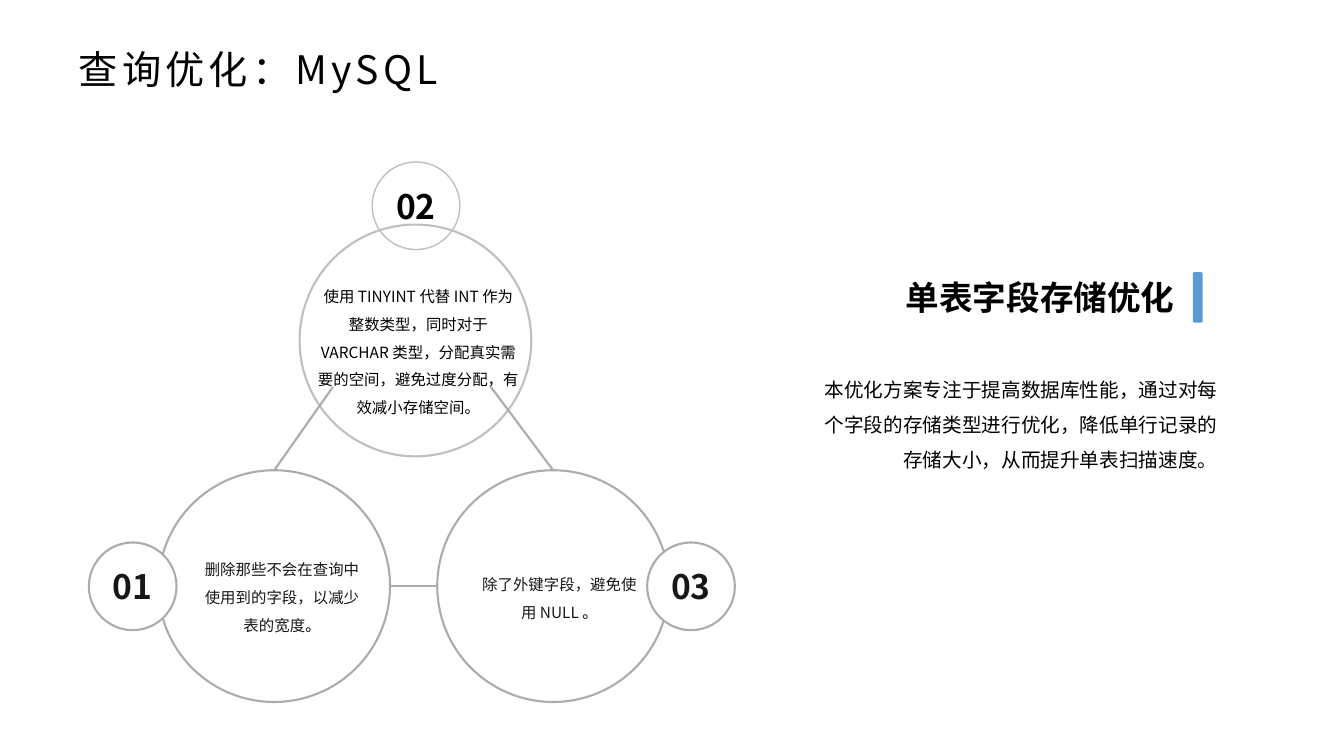
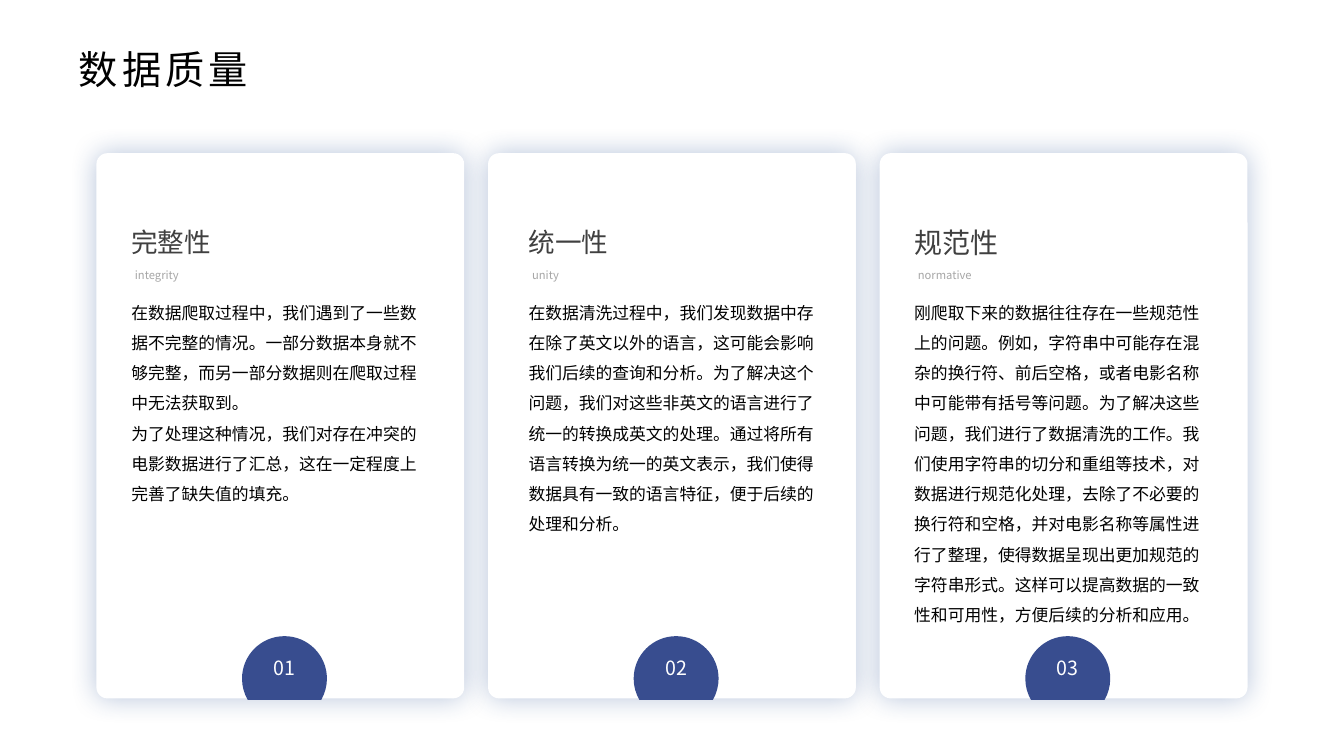
import math

import lxml.etree
import pptx
import pptx.dml.color
import pptx.enum.shapes
import pptx.enum.text
import pptx.oxml.ns
import pptx.util
from pptx.util import Cm

FONT = "Noto Sans CJK SC"
COLORS = {
    "black": "000000", "ink": "181717", "heading": "404040", "caption": "A6A6A6",
    "white": "FFFFFF", "line": "AFABAB", "light_line": "BFBFBF",
    "accent": "5B9BD5", "badge": "384D8F", "glow": "2F5597",
}
SHAPES = pptx.enum.shapes.MSO_SHAPE
LEFT, CENTER, RIGHT = (getattr(pptx.enum.text.PP_ALIGN, name) for name in ("LEFT", "CENTER", "RIGHT"))
TOP, MIDDLE = pptx.enum.text.MSO_ANCHOR.TOP, pptx.enum.text.MSO_ANCHOR.MIDDLE

# Text styles: size in points, leading as a multiple of the size
SINGLE, LOOSE = 1.2, 1.8
STYLES = {
    "title": {"size": 28, "color": "black", "leading": SINGLE, "tracking": 3},
    "topic": {"size": 24, "color": "black", "leading": SINGLE, "bold": True, "align": RIGHT},
    "summary": {"size": 14, "color": "black", "leading": LOOSE, "align": RIGHT},
    "node": {"size": 11, "color": "ink", "leading": LOOSE, "align": CENTER},
    "node_black": {"size": 11, "color": "black", "leading": LOOSE, "align": CENTER},
    "number": {"size": 24, "color": "ink", "bold": True, "align": CENTER},
    "number_black": {"size": 24, "color": "black", "bold": True, "align": CENTER},
    "card_title": {"size": 19, "color": "heading", "leading": SINGLE},
    "card_title_large": {"size": 20, "color": "heading", "leading": SINGLE},
    "card_caption": {"size": 8, "color": "caption", "leading": SINGLE},
    "card_body": {"size": 12, "color": "black", "leading": LOOSE},
    "badge": {"size": 14, "color": "white", "align": CENTER},
}


def rgb(name):
    return pptx.dml.color.RGBColor.from_string(COLORS[name])


def set_values(target, values):
    for name, value in values.items():
        setattr(target, name, value)


def add_run(paragraph, text, style, color):
    run = paragraph.add_run()
    run.text = text
    set_values(run.font, {"name": FONT, "size": pptx.util.Pt(style["size"]),
                          "bold": style.get("bold", False)})
    run.font.color.rgb = rgb(color)
    properties = run.font._element
    east_asian = lxml.etree.SubElement(properties, pptx.oxml.ns.qn("a:ea"))
    east_asian.set("typeface", FONT)
    if "tracking" in style:
        properties.set("spc", str(style["tracking"] * 100))


def write_text(shape, texts, style_name, anchor=TOP, tail=""):
    """Write one paragraph per text; a tail closes the last one in black."""
    style = STYLES[style_name]
    frame = shape.text_frame
    set_values(frame, {"word_wrap": True, "vertical_anchor": anchor,
                       "auto_size": pptx.enum.text.MSO_AUTO_SIZE.NONE})
    for index, text in enumerate(texts):
        paragraph = frame.add_paragraph() if index else frame.paragraphs[0]
        paragraph.alignment = style.get("align", LEFT)
        if "leading" in style:
            paragraph.line_spacing = pptx.util.Pt(round(style["size"] * style["leading"], 1))
        add_run(paragraph, text, style, style["color"])
    if tail:
        add_run(paragraph, tail, style, "black")


def add_text(slide, box, texts, style_name, tail=""):
    shape = slide.shapes.add_textbox(*map(Cm, box))
    write_text(shape, texts, style_name, tail=tail)


def paint(shape, fill=None, line=None, width=1.5):
    shape.shadow.inherit = False
    if fill:
        shape.fill.solid()
        shape.fill.fore_color.rgb = rgb(fill)
    else:
        shape.fill.background()
    if line:
        shape.line.color.rgb = rgb(line)
        shape.line.width = pptx.util.Pt(width)
    else:
        shape.line.fill.background()


def add_shape(slide, kind, box, **look):
    shape = slide.shapes.add_shape(kind, *map(Cm, box))
    paint(shape, **look)
    return shape


def add_line(slide, start, end, target=None):
    """Draw a line; a target is joined at its top."""
    connector = slide.shapes.add_connector(
        pptx.enum.shapes.MSO_CONNECTOR.STRAIGHT, *map(Cm, start + end))
    connector.line.color.rgb = rgb("line")
    connector.line.width = pptx.util.Pt(1.5)
    lxml.etree.SubElement(connector._element.spPr, pptx.oxml.ns.qn("a:effectLst"))
    if target is not None:
        connector.end_connect(target, 0)


def add_glow(shape):
    effects = shape._element.spPr.find(pptx.oxml.ns.qn("a:effectLst"))
    shadow = lxml.etree.SubElement(effects, pptx.oxml.ns.qn("a:outerShdw"), {
        "blurRad": str(pptx.util.Pt(20)), "dist": "0", "dir": "0",
        "algn": "ctr", "rotWithShape": "0"})
    color = lxml.etree.SubElement(shadow, pptx.oxml.ns.qn("a:srgbClr"), val=COLORS["glow"])
    lxml.etree.SubElement(color, pptx.oxml.ns.qn("a:alpha"), val="35000")


def add_titled_slide(presentation, title, width):
    slide = presentation.slides.add_slide(presentation.slide_layouts[5])
    shape = slide.shapes.title
    set_values(shape, {"left": Cm(1.73), "top": Cm(1.02), "width": Cm(width), "height": Cm(1.45)})
    write_text(shape, [title], "title")
    return slide


# Slide 1: three linked circles and a summary
NODE, NUMBER = 5.84, 2.21
# Circle place, number place, text box, text, tail, number
LEFT_NODE = ((1.75, 7.79), (0, 9.61), (2.51, 9.7, 4.72, 2.31),
             "删除那些不会在查询中使用到的字段，以减少表的宽度", "。", "01")
RIGHT_NODE = ((8.78, 7.79), (14.07, 9.61), (9.5, 10.08, 4.72, 1.6),
              "除了外键字段，避免使用 NULL", " 。", "03")
TOP_NODE = ((5.31, 1.6), (7.14, 0.02), (5.51, 2.82, 5.59, 3.71),
            "使用 TINYINT 代替 INT 作为整数类型，同时对于 VARCHAR 类型，分配真实需要的空间，"
            "避免过度分配，有效减小存储空间。", "", "02")


def add_node(slide, left, top, node, clear=False):
    place, number_place, text_box, text, tail, number = node
    fill, line = (None, "light_line") if clear else ("white", "line")
    suffix = "_black" if clear else ""
    circle = add_shape(slide, SHAPES.OVAL, (left + place[0], top + place[1], NODE, NODE),
                       fill=fill, line=line)
    add_text(slide, (left + text_box[0], top + text_box[1]) + text_box[2:],
             [text], "node" + suffix, tail)
    small = add_shape(slide, SHAPES.OVAL,
                      (left + number_place[0], top + number_place[1], NUMBER, NUMBER),
                      fill=fill, line=line, width=1 if clear else 1.5)
    write_text(small, [number], "number" + suffix, MIDDLE)
    return circle


def add_triangle(slide, left, top):
    left_circle = add_node(slide, left, top, LEFT_NODE)
    add_node(slide, left, top, TOP_NODE, clear=True)
    right_circle = add_node(slide, left, top, RIGHT_NODE)
    for start_x, node, circle in ((6.15, LEFT_NODE, left_circle), (10.13, RIGHT_NODE, right_circle)):
        x, y = node[0]
        add_line(slide, (left + start_x, top + 5.69), (left + x + NODE / 2, top + y), circle)
    middle = top + LEFT_NODE[0][1] + NODE / 2
    add_line(slide, (left + LEFT_NODE[0][0] + NODE, middle), (left + RIGHT_NODE[0][0], middle))


def add_summary(slide, left, top):
    add_text(slide, (left, top, 11.68, 1.27), ["单表字段存储优化 "], "topic")
    add_text(slide, (left + 2.06, top + 2.24, 10.52, 3.63),
             ["本优化方案专注于提高数据库性能，通过对每个字段的存储类型进行优化，"
              "降低单行记录的存储大小，从而提升单表扫描速度。"], "summary")
    bar = add_shape(slide, SHAPES.ROUNDED_RECTANGLE, (left + 11.7, top, 0.25, 1.27), fill="accent")
    bar.adjustments[0] = 0.18


# Slide 2: three cards
CARD_WIDTH, CARD_HEIGHT, CARD_PITCH = 9.27, 13.74, 9.87
# Text indent, title, title style, caption, body height, paragraphs
CARDS = [
    (0.63, "完整性", "card_title", "integrity", 6.35,
     ["在数据爬取过程中，我们遇到了一些数据不完整的情况。一部分数据本身就不够完整，"
      "而另一部分数据则在爬取过程中无法获取到。",
      "为了处理这种情况，我们对存在冲突的电影数据进行了汇总，这在一定程度上完善了缺失值的填充。"]),
    (0.77, "统一性", "card_title", "unity", 6.35,
     ["在数据清洗过程中，我们发现数据中存在除了英文以外的语言，这可能会影响我们后续的查询和分析。"
      "为了解决这个问题，我们对这些非英文的语言进行了统一的转换成英文的处理。"
      "通过将所有语言转换为统一的英文表示，我们使得数据具有一致的语言特征，便于后续的处理和分析。"]),
    (0.62, "规范性", "card_title_large", "normative", 8.66,
     ["刚爬取下来的数据往往存在一些规范性上的问题。例如，字符串中可能存在混杂的换行符、前后空格，"
      "或者电影名称中可能带有括号等问题。为了解决这些问题，我们进行了数据清洗的工作。"
      "我们使用字符串的切分和重组等技术，对数据进行规范化处理，去除了不必要的换行符和空格，"
      "并对电影名称等属性进行了整理，使得数据呈现出更加规范的字符串形式。"
      "这样可以提高数据的一致性和可用性，方便后续的分析和应用。"]),
]


def add_badge(slide, center_x, center_y, radius, number):
    """Draw a disc cut flat half a radius below its centre."""
    def locate(angle, bend=0):
        """Point on the circle, moved along its tangent by bend radii."""
        return (Cm(center_x + radius * (math.cos(angle) - bend * math.sin(angle))),
                Cm(center_y + radius * (math.sin(angle) + bend * math.cos(angle))))

    angles = [math.radians(degrees) for degrees in (150, 180, 270, 360, 390)]
    builder = slide.shapes.build_freeform(*locate(angles[0]))
    builder.add_line_segments([locate(angle) for angle in angles[1:]], close=True)
    badge = builder.convert_to_shape()
    # Bend each side between two angles into an arc
    sides = list(badge._element.iter(pptx.oxml.ns.qn("a:lnTo")))
    for side, start, end in zip(sides, angles, angles[1:]):
        bend = 4 / 3 * math.tan((end - start) / 4)
        side.tag = pptx.oxml.ns.qn("a:cubicBezTo")
        for index, (x, y) in enumerate((locate(start, bend), locate(end, -bend))):
            point = lxml.etree.Element(pptx.oxml.ns.qn("a:pt"),
                                       x=str(x - badge.left), y=str(y - badge.top))
            side.insert(index, point)
    paint(badge, fill="badge")
    write_text(badge, [number], "badge", MIDDLE)


def add_card(slide, left, top, number, card):
    indent, title, title_style, caption, body_height, paragraphs = card
    panel = add_shape(slide, SHAPES.ROUNDED_RECTANGLE,
                      (left, top, CARD_WIDTH, CARD_HEIGHT), fill="white")
    panel.adjustments[0] = 0.03
    add_glow(panel)
    add_badge(slide, left + 4.74, top + 13.24, 1.07, number)
    text_left = left + indent
    add_text(slide, (text_left, top + 1.7, 7.11, 1.07), [title], title_style)
    add_text(slide, (text_left + 0.09, top + 2.78, 5.92, 0.61), [caption], "card_caption")
    add_text(slide, (text_left, top + 3.38, 8, body_height), paragraphs, "card_body")


def main():
    presentation = pptx.Presentation()
    set_values(presentation, {"slide_width": Cm(33.87), "slide_height": Cm(19.05)})

    slide = add_titled_slide(presentation, "查询优化：MySQL", 10.92)
    add_triangle(slide, 2.24, 4.06)
    add_summary(slide, 18.36, 6.86)

    slide = add_titled_slide(presentation, "数据质量", 5.72)
    for index, card in enumerate(CARDS):
        add_card(slide, 2.43 + index * CARD_PITCH, 3.86, f"{index + 1:02d}", card)

    presentation.save("out.pptx")


if __name__ == "__main__":
    main()
